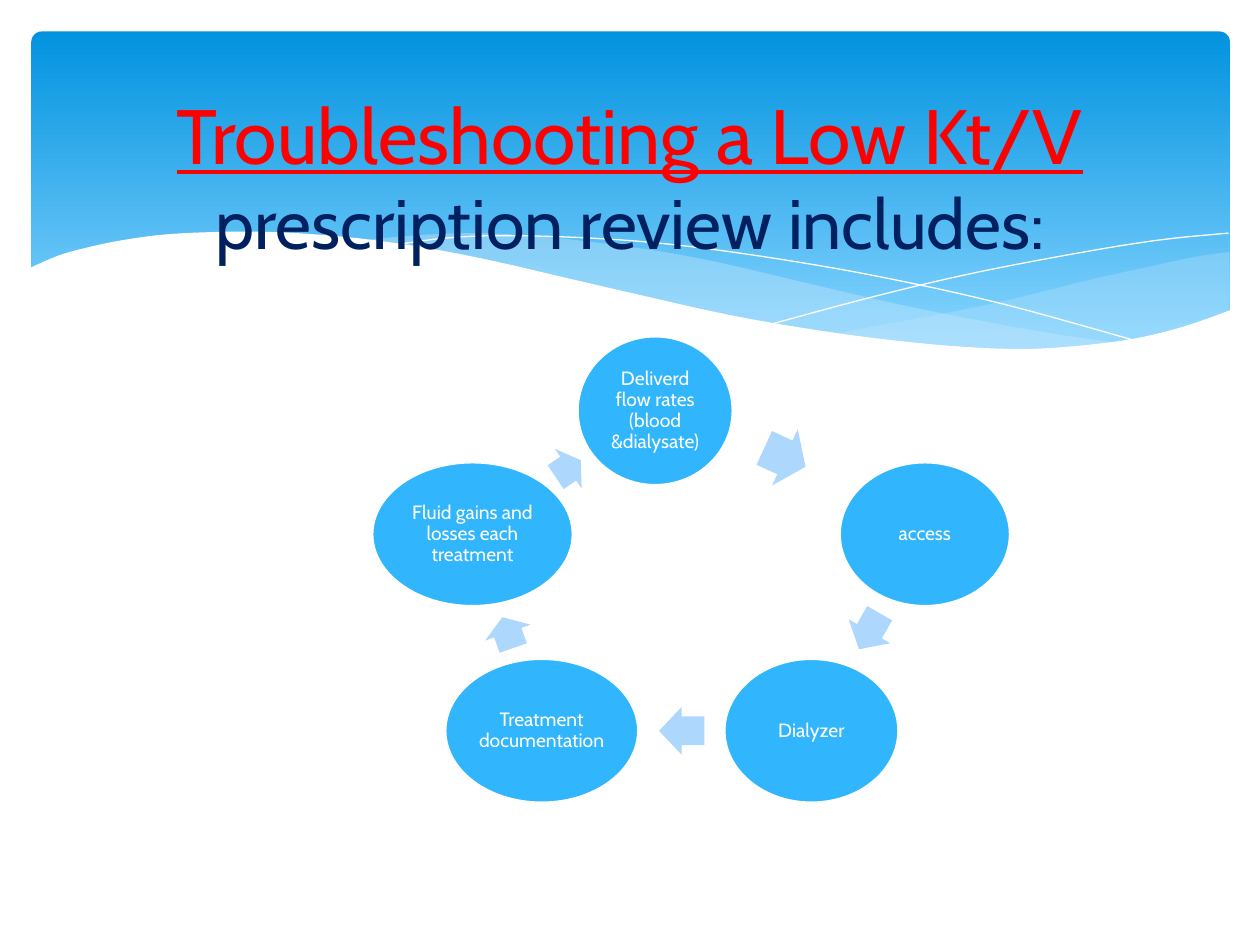
import dataclasses

import lxml.etree
import pptx
import pptx.dml.color
import pptx.enum.dml
import pptx.enum.shapes
import pptx.enum.text
import pptx.oxml.ns
import pptx.util

COLUMNS, ROWS = 100, 75
CELL = pptx.util.Inches(0.1)
CURVE_STEPS = 6


@dataclasses.dataclass(frozen=True)
class Theme:
    font: str = "Cabin"
    white: str = "FFFFFF"
    banner_top: str = "0293E0"
    banner_bottom: str = "83D3FE"
    veil: str = "C6E7FC"
    step: str = "31B6FD"
    arrow: str = "AED7FE"
    heading: str = "FF0000"
    subheading: str = "002060"
    heading_size: int = 44
    subheading_size: int = 40
    step_size: int = 11
    outline: float = 1.25
    hairline: float = 0


THEME = Theme()

# Each curve is a list of (column, row) points; an outline joins several curves.
RIGHT_VEIL = [
    [(97.6, 20), (94.8, 20.4), (90.6, 21.3), (86.1, 22.3), (80.5, 23.7), (75.3, 24.8), (66.1, 26.5)],
    [(66.1, 26.5), (71.9, 27.2), (76.9, 27.7), (81.4, 27.8), (86.3, 27.5), (90.5, 26.9), (94.2, 25.9), (97.6, 24.7)],
]
LONG_VEIL = [
    [(89.3, 27.3), (83.7, 26.5), (77.5, 25.4), (70.6, 24), (62.9, 22.2), (56.9, 20.8), (51.4, 19.8),
     (44.2, 18.9), (38, 18.5), (32.8, 18.7), (28.6, 19.1)],
    [(28.6, 19.1), (34.2, 19.9), (40.4, 21.1), (44.9, 22.2), (53, 24), (60.1, 25.5), (66.5, 26.6),
     (72.2, 27.4), (77.3, 27.7), (82.8, 27.8), (86.7, 27.6), (89.3, 27.3)],
]
FALLING_LINE = [[(30.9, 19.5), (35.3, 18.9), (40.1, 18.7), (46.9, 18.9), (53.3, 19.4), (60.8, 20.4),
                 (69.5, 21.9), (79.5, 24.1), (90.7, 27.2)]]
RISING_LINE = [[(61.3, 25.7), (69.5, 23.5), (77.6, 21.6), (86.6, 19.9), (92.4, 19), (97.5, 18.5)]]
WHITE_WAVE = [
    [(97.7, 24.6), (94, 25.9), (89.9, 26.9), (85, 27.5), (80.9, 27.7), (76.1, 27.5), (70.8, 27),
     (64.8, 26.2), (57.9, 25), (50.3, 23.3), (44.7, 22), (39.1, 20.7), (34, 19.7), (29.2, 19),
     (25, 18.6), (21.1, 18.4), (17.7, 18.4), (13.2, 18.6), (9.5, 19.1), (6.7, 19.7), (4.6, 20.3), (2.3, 21.3)],
    [(2.3, 32.9), (97.7, 32.9)],
]

# Text, centre and size of each step, then centre, size and angle of the arrow after it.
CYCLE = [
    ("Deliverd flow rates (blood &dialysate)", (52, 32.6), (12.3, 11.8), (62.3, 36.3), (3.6, 4.9), 24.5),
    ("access", (73.4, 42.4), (13.5, 11.4), (69, 50.1), (3.3, 3.8), 119.9),
    ("Dialyzer", (64.4, 58), (13.8, 11.4), (54.1, 58), (3.6, 3.8), 180),
    ("Treatment documentation", (43, 58), (15.3, 11.4), (40.3, 50.2), (2.6, 3.8), 250.6),
    ("Fluid gains and losses each treatment", (37.5, 42.4), (15.9, 11.4), (45.1, 37.2), (2.4, 3.8), 326),
]


def rgb(value):
    return pptx.dml.color.RGBColor.from_string(value)


def cells(*values):
    return [round(value * CELL) for value in values]


def apply_format(target, formats):
    for name, value in formats.items():
        setattr(target, name, value)


def paint(shape, fill=None, opacity=None, line=None, line_width=None):
    shape.shadow.inherit = False
    if fill:
        shape.fill.solid()
        shape.fill.fore_color.rgb = rgb(fill)
    else:
        shape.fill.background()
    if opacity is not None:
        color = shape.fill._xPr.find(".//" + pptx.oxml.ns.qn("a:srgbClr"))
        lxml.etree.SubElement(color, pptx.oxml.ns.qn("a:alpha"), val=str(opacity * 1000))
    if line:
        shape.line.color.rgb = rgb(line)
        shape.line.width = pptx.util.Pt(line_width)
    else:
        shape.line.fill.background()


def smooth(points):
    """Sample a Catmull-Rom curve through the points."""
    if len(points) < 3:
        return points
    padded = [points[0], *points, points[-1]]
    samples = [points[0]]
    for a, b, c, d in zip(padded, padded[1:], padded[2:], padded[3:]):
        for step in range(1, CURVE_STEPS + 1):
            t = step / CURVE_STEPS
            samples.append(tuple(
                q + t / 2 * (r - p + t * (2 * p - 5 * q + 4 * r - s + t * (3 * (q - r) + s - p)))
                for p, q, r, s in zip(a, b, c, d)))
    return samples


def add_wave(slide, curves, close=True, **look):
    start, *rest = [cells(*point) for curve in curves for point in smooth(curve)]
    builder = slide.shapes.build_freeform(*start, scale=1.0)
    builder.add_line_segments(rest, close=close)
    paint(builder.convert_to_shape(), **look)


def add_centred(slide, kind, centre, size, **look):
    (x, y), (width, height) = centre, size
    shape = slide.shapes.add_shape(kind, *cells(x - width / 2, y - height / 2, width, height))
    paint(shape, **look)
    return shape


def add_text(paragraph, text, color, size, underline=False):
    run = paragraph.add_run()
    run.text = text
    apply_format(run.font, {"name": THEME.font, "size": pptx.util.Pt(size), "underline": underline})
    run.font.color.rgb = rgb(color)


def centred_paragraph(shape, **formats):
    frame = shape.text_frame
    apply_format(frame, {"word_wrap": True, "vertical_anchor": pptx.enum.text.MSO_ANCHOR.MIDDLE, **formats})
    paragraph = frame.paragraphs[0]
    paragraph.alignment = pptx.enum.text.PP_ALIGN.CENTER
    return paragraph


def add_banner(slide):
    banner = slide.shapes.add_shape(
        pptx.enum.shapes.MSO_SHAPE.ROUNDED_RECTANGLE, *cells(2.5, 2.5, 95.1, 27))
    banner.adjustments[0] = 0.03
    paint(banner)
    banner.fill.gradient()
    banner.fill.gradient_angle = 270
    stops = [(0, THEME.banner_top), (0.9, THEME.banner_bottom)]
    for stop, (position, color) in zip(banner.fill.gradient_stops, stops):
        stop.position = position
        stop.color.rgb = rgb(color)
    add_wave(slide, RIGHT_VEIL, fill=THEME.veil, opacity=29)
    add_wave(slide, LONG_VEIL, fill=THEME.veil, opacity=40)
    for curve in (FALLING_LINE, RISING_LINE):
        add_wave(slide, curve, close=False, line=THEME.white, line_width=THEME.hairline)
    add_wave(slide, WHITE_WAVE, fill=THEME.white)


def add_step(slide, text, centre, size):
    step = add_centred(slide, pptx.enum.shapes.MSO_SHAPE.OVAL, centre, size,
                       fill=THEME.step, line=THEME.white, line_width=THEME.outline)
    margins = {f"margin_{side}": cells(0.2)[0] for side in ("left", "top", "right", "bottom")}
    paragraph = centred_paragraph(step, **margins)
    paragraph.line_spacing = 0.9
    add_text(paragraph, text, THEME.white, THEME.step_size)


def add_arrow(slide, centre, size, angle):
    arrow = add_centred(slide, pptx.enum.shapes.MSO_SHAPE.RIGHT_ARROW, centre, size, fill=THEME.arrow)
    arrow.rotation = angle
    arrow.adjustments[0] = 0.6
    arrow.adjustments[1] = 0.5


def add_title(slide):
    title = slide.shapes.add_textbox(*cells(5, 3.7, 90, 20.5))
    paragraph = centred_paragraph(title)
    add_text(paragraph, "Troubleshooting a Low Kt/V", THEME.heading, THEME.heading_size, underline=True)
    paragraph.add_line_break()
    add_text(paragraph, "prescription review includes:", THEME.subheading, THEME.subheading_size)


def main():
    presentation = pptx.Presentation()
    apply_format(presentation, {"slide_width": COLUMNS * CELL, "slide_height": ROWS * CELL})
    slide = presentation.slides.add_slide(presentation.slide_layouts[6])
    add_banner(slide)
    for text, centre, size, arrow_centre, arrow_size, angle in CYCLE:
        add_step(slide, text, centre, size)
        add_arrow(slide, arrow_centre, arrow_size, angle)
    add_title(slide)
    presentation.save("out.pptx")


if __name__ == "__main__":
    main()
